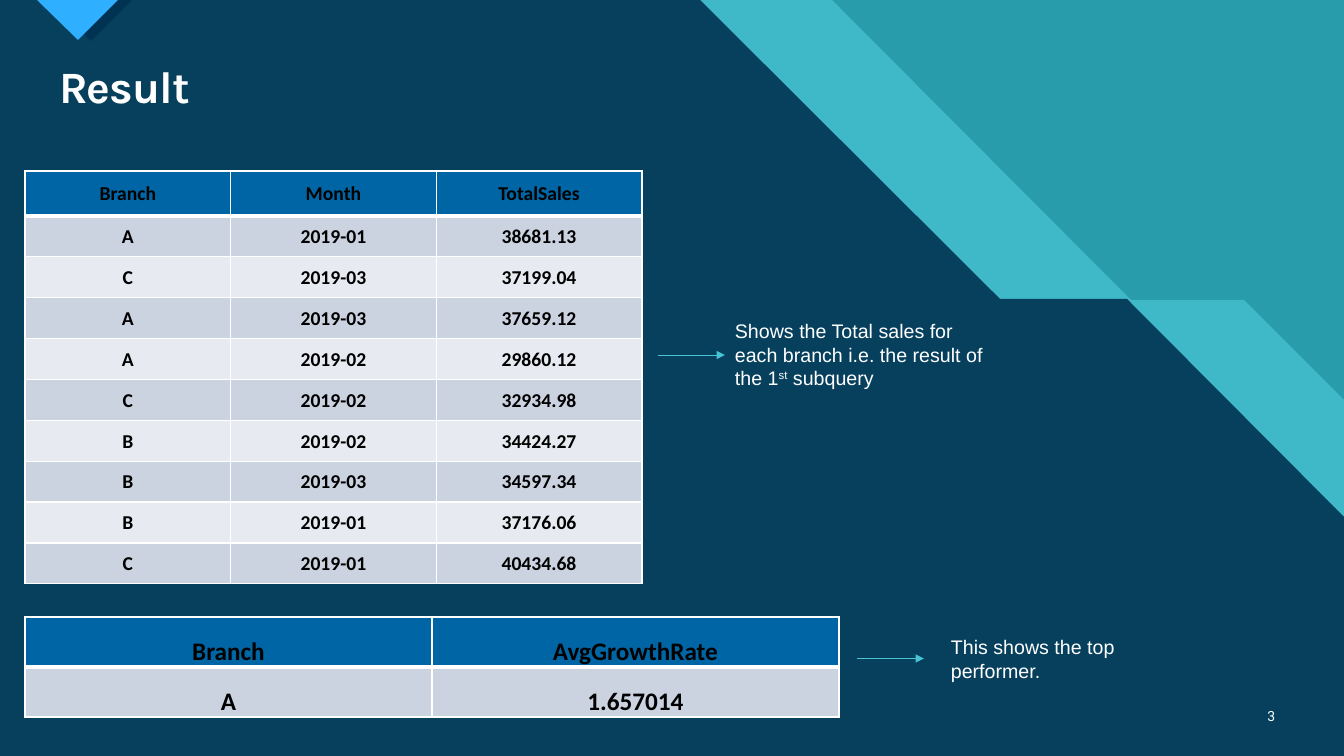
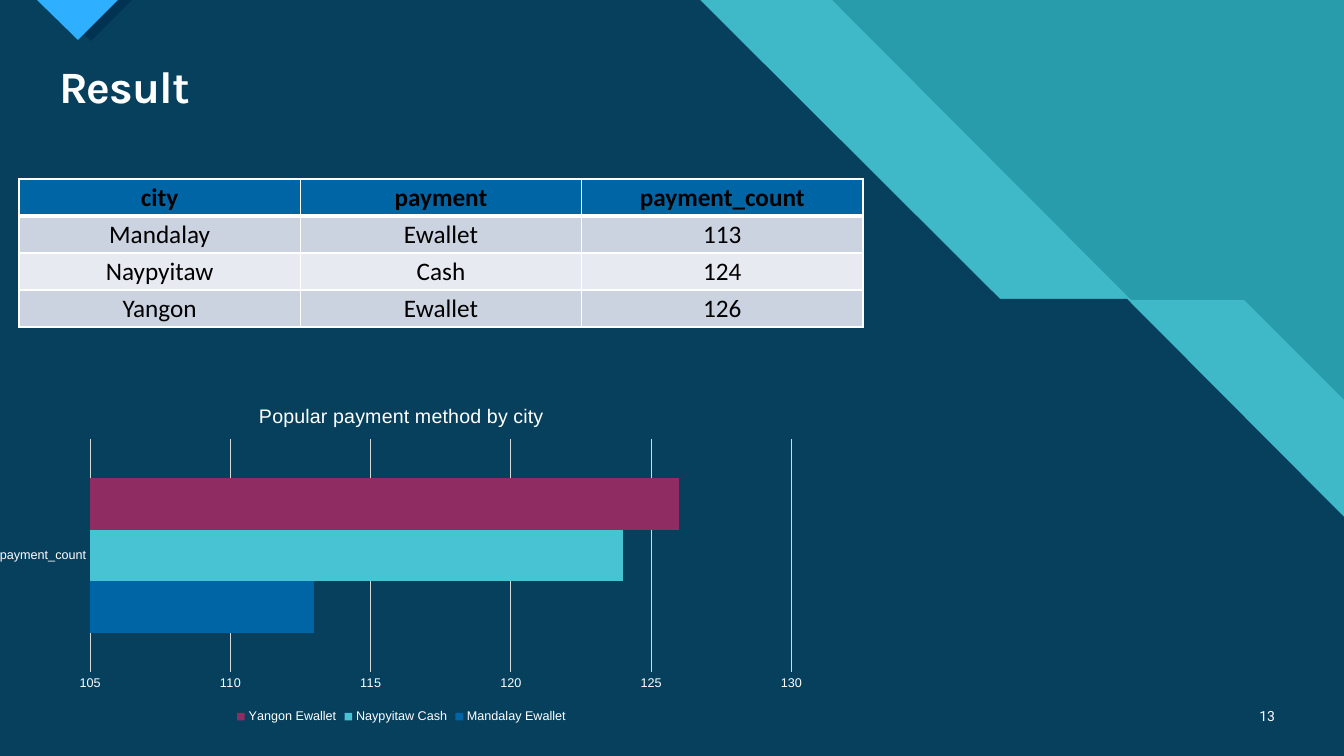
"""Build two sales result slides with tables, notes and a bar chart."""
from dataclasses import dataclass

from lxml.etree import SubElement
from pptx import Presentation
from pptx.chart.data import CategoryChartData
from pptx.dml.color import RGBColor
from pptx.enum.chart import XL_CHART_TYPE as ChartType
from pptx.enum.chart import XL_LEGEND_POSITION as LegendPosition
from pptx.enum.chart import XL_TICK_MARK as TickMark
from pptx.enum.shapes import MSO_CONNECTOR as Connector
from pptx.enum.text import MSO_ANCHOR as Anchor
from pptx.enum.text import PP_ALIGN as Align
from pptx.oxml.ns import qn
from pptx.util import Emu, Pt

PX = 12192000 / 1344
PAGE_WIDTH, PAGE_HEIGHT = 1344, 756


@dataclass(frozen=True)
class Theme:
    """Colours, fonts and type sizes of the deck."""
    teal: str = "299CAB"
    aqua: str = "47C3D3"
    navy: str = "003352"
    sky: str = "2FAFFF"
    blue: str = "0065A4"
    plum: str = "8F2D63"
    white: str = "FFFFFF"
    black: str = "000000"
    grid: str = "D9D9D9"
    row_fills: tuple = ("CCD3E0", "E7EAF0")
    title_font: str = "Karla"
    number_font: str = "Roboto"
    body_font: str = "Arial"
    table_font: str = "Calibri"
    title_size: int = 32
    large_size: int = 18
    body_size: int = 14
    number_size: int = 10
    axis_size: int = 9


THEME = Theme()


def px(length):
    """Turn pixels into EMU."""
    return Emu(round(length * PX))


def rgb(color):
    """Turn a hex string into a colour."""
    return RGBColor.from_string(color)


def style_font(font, size, color=THEME.white, name=THEME.body_font, bold=False):
    """Set the size, colour, name and weight of a font."""
    font.size, font.name, font.bold = Pt(size), name, bold
    font.color.rgb = rgb(color)


def add_text(para, text, spacing=None, baseline=None, **style):
    """Append a formatted span to a paragraph."""
    span = para.add_run()
    span.text = text
    style_font(span.font, **style)
    for key, value in (("spc", spacing), ("baseline", baseline)):
        if value is not None:
            span.font._element.set(key, str(value))


def add_outline(page, points, color, opacity=100):
    """Draw a closed filled outline through points."""
    builder = page.shapes.build_freeform(*points[0], scale=PX)
    builder.add_line_segments(points[1:], close=True)
    shape = builder.convert_to_shape()
    shape.shadow.inherit = False
    shape.line.fill.background()
    shape.fill.solid()
    shape.fill.fore_color.rgb = rgb(color)
    if opacity < 100:
        tint = shape.element.spPr.find(qn("a:solidFill"))[0]
        SubElement(tint, qn("a:alpha")).set("val", str(opacity * 1000))
    return shape


def add_backdrop(layout, page):
    """Draw the shared bands and corner marker, and hand them to the layout."""
    layout.background.fill.solid()
    layout.background.fill.fore_color.rgb = rgb(THEME.teal)
    corners = [(PAGE_WIDTH, PAGE_HEIGHT), (0, PAGE_HEIGHT), (0, 0)]
    band = [(832, 0), (1131, 300), (1244, 300), (PAGE_WIDTH, 400)]
    field = [(700, 0), (1000, 299), (1127, 299), (PAGE_WIDTH, 517)]
    parts = [
        add_outline(page, band + corners, THEME.aqua, 74),
        add_outline(page, field + corners, THEME.navy, 90),
        add_outline(page, [(49, 0), (91, 41), (132, 0)], THEME.navy),
        add_outline(page, [(37, 0), (78, 40), (118, 0)], THEME.sky),
    ]
    for part in parts:
        layout.shapes.element.append(part.element)


def add_text_box(page, box):
    """Add a wrapping text box and return it with its first paragraph."""
    shape = page.shapes.add_textbox(*map(px, box))
    shape.text_frame.word_wrap = True
    return shape, shape.text_frame.paragraphs[0]


def add_heading(page, title, number):
    """Fill the title placeholder and add the page number."""
    holder = page.shapes.title
    holder.left, holder.top, holder.width, holder.height = map(px, (49, 59, 1236, 59))
    holder.text_frame.vertical_anchor = Anchor.MIDDLE
    para = holder.text_frame.paragraphs[0]
    para.alignment, para.line_spacing = Align.LEFT, 0.9
    add_text(para, title, size=THEME.title_size, name=THEME.title_font,
             bold=True, spacing=-70)
    shape, para = add_text_box(page, (1241, 696, 44, 40))
    shape.text_frame.vertical_anchor = Anchor.MIDDLE
    para.alignment = Align.RIGHT
    add_text(para, number, size=THEME.number_size, name=THEME.number_font)


def add_borders(cell, top, bottom):
    """Give a cell white borders with the given top and bottom widths."""
    properties = cell._tc.get_or_add_tcPr()
    for tag, width in (("lnL", 1), ("lnR", 1), ("lnT", top), ("lnB", bottom)):
        line = SubElement(properties, qn(f"a:{tag}"))
        line.set("w", str(Pt(width)))
        fill = SubElement(line, qn("a:solidFill"))
        SubElement(fill, qn("a:srgbClr")).set("val", THEME.white)


def add_data_table(page, box, rows, header_height, size, bold_body=True,
                   anchor=Anchor.MIDDLE):
    """Add a table with a header row and banded body rows."""
    left, top, width, height = box
    columns = len(rows[0])
    table = page.shapes.add_table(len(rows), columns, *map(px, box)).table
    for column in table.columns:
        column.width = px(width / columns)
    body_height = (height - header_height) / (len(rows) - 1)
    for index, values in enumerate(rows):
        is_header = index == 0
        table.rows[index].height = px(header_height if is_header else body_height)
        color = THEME.blue if is_header else THEME.row_fills[(index - 1) % 2]
        for cell, value in zip(table.rows[index].cells, values):
            add_borders(cell, 3 if index == 1 else 1, 3 if is_header else 1)
            cell.fill.solid()
            cell.fill.fore_color.rgb = rgb(color)
            cell.margin_left = cell.margin_right = cell.margin_top = px(1)
            cell.margin_bottom = 0
            cell.vertical_anchor = anchor
            para = cell.text_frame.paragraphs[0]
            para.alignment = Align.CENTER
            add_text(para, value, size=size, color=THEME.black,
                     name=THEME.table_font, bold=is_header or bold_body)


def add_note(page, box, spans, gap=0):
    """Add a note with an arrow that ends the given gap before it."""
    left, top, width, height = box
    shape, para = add_text_box(page, box)
    for text, baseline in spans:
        add_text(para, text, size=THEME.body_size, baseline=baseline)
    end, middle = left - gap, top + height / 2
    arrow = page.shapes.add_connector(
        Connector.STRAIGHT, *map(px, (end - 67, middle, end, middle)))
    if gap == 0:
        arrow.end_connect(shape, 1)
    arrow.line.color.rgb = rgb(THEME.aqua)
    arrow.line.width = Pt(0.5)
    properties = arrow.element.spPr
    SubElement(properties.find(qn("a:ln")), qn("a:tailEnd")).set("type", "triangle")
    SubElement(properties, qn("a:effectLst"))


def set_plot_area(chart, box, plot):
    """Fix the inner plot area, given in page pixels, within the chart box."""
    left, top, width, height = box
    area = chart.element.find(".//" + qn("c:plotArea"))
    layout = area.find(qn("c:layout"))
    if layout is None:
        layout = SubElement(area, qn("c:layout"))
        area.insert(0, layout)
    manual = SubElement(layout, qn("c:manualLayout"))
    settings = (
        ("layoutTarget", "inner"), ("xMode", "edge"), ("yMode", "edge"),
        ("x", round((plot[0] - left) / width, 3)),
        ("y", round((plot[1] - top) / height, 3)),
        ("w", round(plot[2] / width, 3)), ("h", round(plot[3] / height, 3)))
    for tag, value in settings:
        SubElement(manual, qn(f"c:{tag}")).set("val", str(value))


def add_bar_chart(page, box, plot, title, category, series):
    """Add a horizontal bar chart with one bar per (name, value, colour)."""
    data = CategoryChartData()
    data.categories = [category]
    for name, value, _ in series:
        data.add_series(name, [value])
    chart = page.shapes.add_chart(
        ChartType.BAR_CLUSTERED, *map(px, box), data).chart
    style_font(chart.font, THEME.axis_size)
    chart.has_title = True
    add_text(chart.chart_title.text_frame.paragraphs[0], title, size=THEME.body_size)
    chart.chart_title.include_in_layout = False
    chart.has_legend = True
    chart.legend.position = LegendPosition.BOTTOM
    chart.legend.include_in_layout = False
    style_font(chart.legend.font, THEME.axis_size)
    bars = chart.plots[0]
    bars.gap_width, bars.overlap, bars.vary_by_categories = 150, 0, False
    for bar, (_, _, color) in zip(bars.series, series):
        bar.format.fill.solid()
        bar.format.fill.fore_color.rgb = rgb(color)
    for axis in (chart.category_axis, chart.value_axis):
        axis.major_tick_mark = axis.minor_tick_mark = TickMark.NONE
        axis.format.line.fill.background()
        style_font(axis.tick_labels.font, THEME.axis_size)
    values = chart.value_axis
    values.minimum_scale, values.maximum_scale, values.major_unit = 105, 130, 5
    values.major_gridlines.format.line.color.rgb = rgb(THEME.grid)
    values.major_gridlines.format.line.width = Pt(0.75)
    set_plot_area(chart, box, plot)


def fill_sales_page(page):
    """Show monthly sales by branch and the top performer."""
    add_heading(page, "Result", "3")
    add_data_table(page, (25, 617, 814, 100),
                   [("Branch", "AvgGrowthRate"), ("A", "1.657014")],
                   50, THEME.large_size, anchor=Anchor.BOTTOM)
    sales = [
        ("Branch", "Month", "TotalSales"),
        ("A", "2019-01", "38681.13"),
        ("C", "2019-03", "37199.04"),
        ("A", "2019-03", "37659.12"),
        ("A", "2019-02", "29860.12"),
        ("C", "2019-02", "32934.98"),
        ("B", "2019-02", "34424.27"),
        ("B", "2019-03", "34597.34"),
        ("B", "2019-01", "37176.06"),
        ("C", "2019-01", "40434.68"),
    ]
    add_data_table(page, (25, 171, 617, 413), sales, 45, THEME.body_size)
    add_note(page, (725, 314, 283, 82), [
        ("Shows the Total sales for each branch i.e. the result of the 1", None),
        ("st", 30000), (" subquery", None)])
    add_note(page, (941, 630, 262, 57),
             [("This shows the top performer.", None)], gap=17)


def fill_payment_page(page):
    """Show the most popular payment method of each city."""
    add_heading(page, "Result", "13")
    payments = [
        ("city", "payment", "payment_count"),
        ("Mandalay", "Ewallet", "113"),
        ("Naypyitaw", "Cash", "124"),
        ("Yangon", "Ewallet", "126"),
    ]
    add_data_table(page, (19, 179, 844, 148), payments, 37, THEME.large_size,
                   bold_body=False)
    colors = (THEME.blue, THEME.aqua, THEME.plum)
    series = [(f"{city} {method}", int(count), color)
              for (city, method, count), color in zip(payments[1:], colors)]
    add_bar_chart(page, (-16, 388, 835, 340), (90, 439, 701, 233),
                  "Popular payment method by city", "payment_count", series)


def main():
    """Build and save the deck."""
    deck = Presentation()
    deck.slide_width, deck.slide_height = px(PAGE_WIDTH), px(PAGE_HEIGHT)
    layout = deck.slide_layouts.get_by_name("Title Only")
    pages = [deck.slides.add_slide(layout) for _ in range(2)]
    add_backdrop(layout, pages[0])
    fill_sales_page(pages[0])
    fill_payment_page(pages[1])
    deck.save("out.pptx")


if __name__ == "__main__":
    main()
